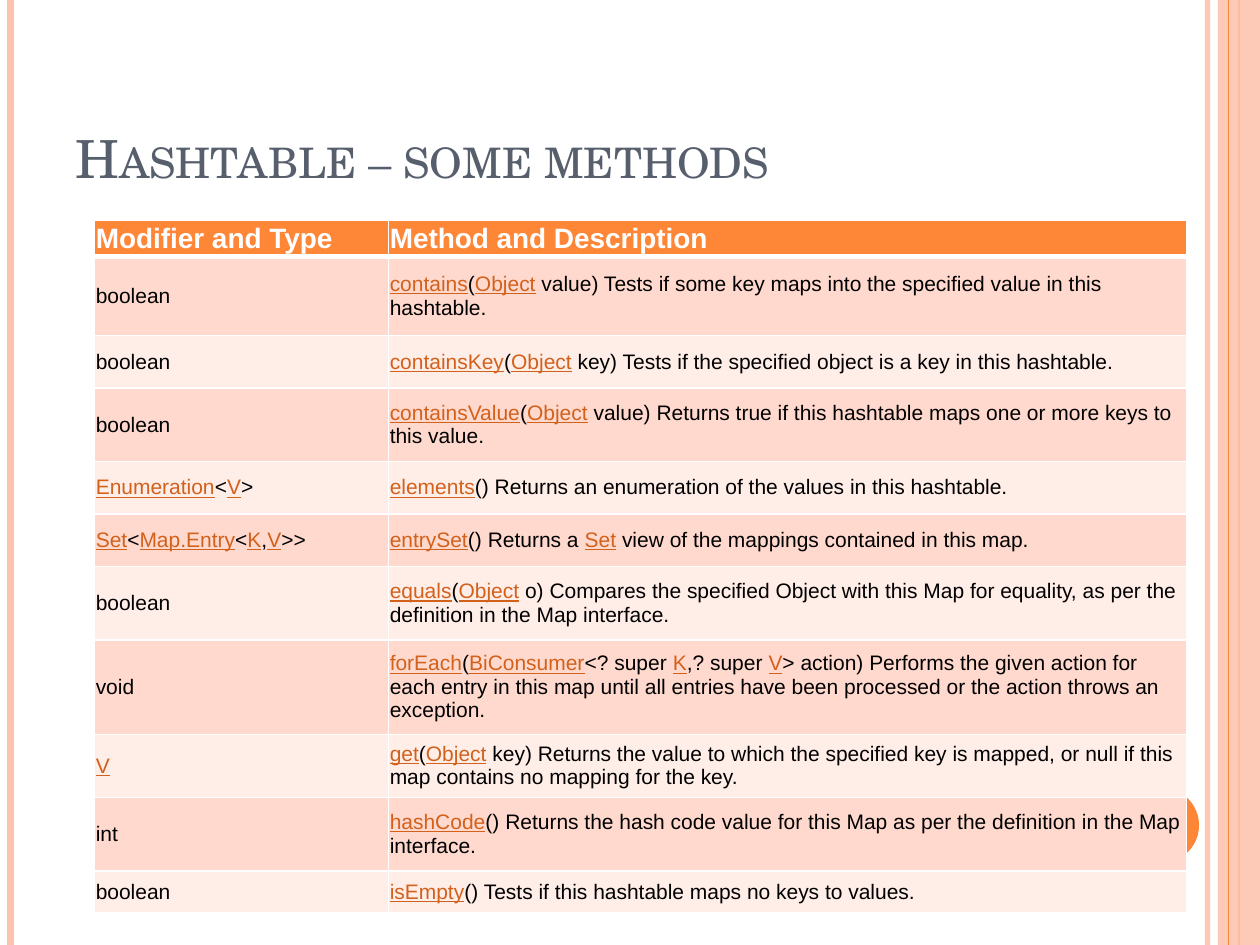
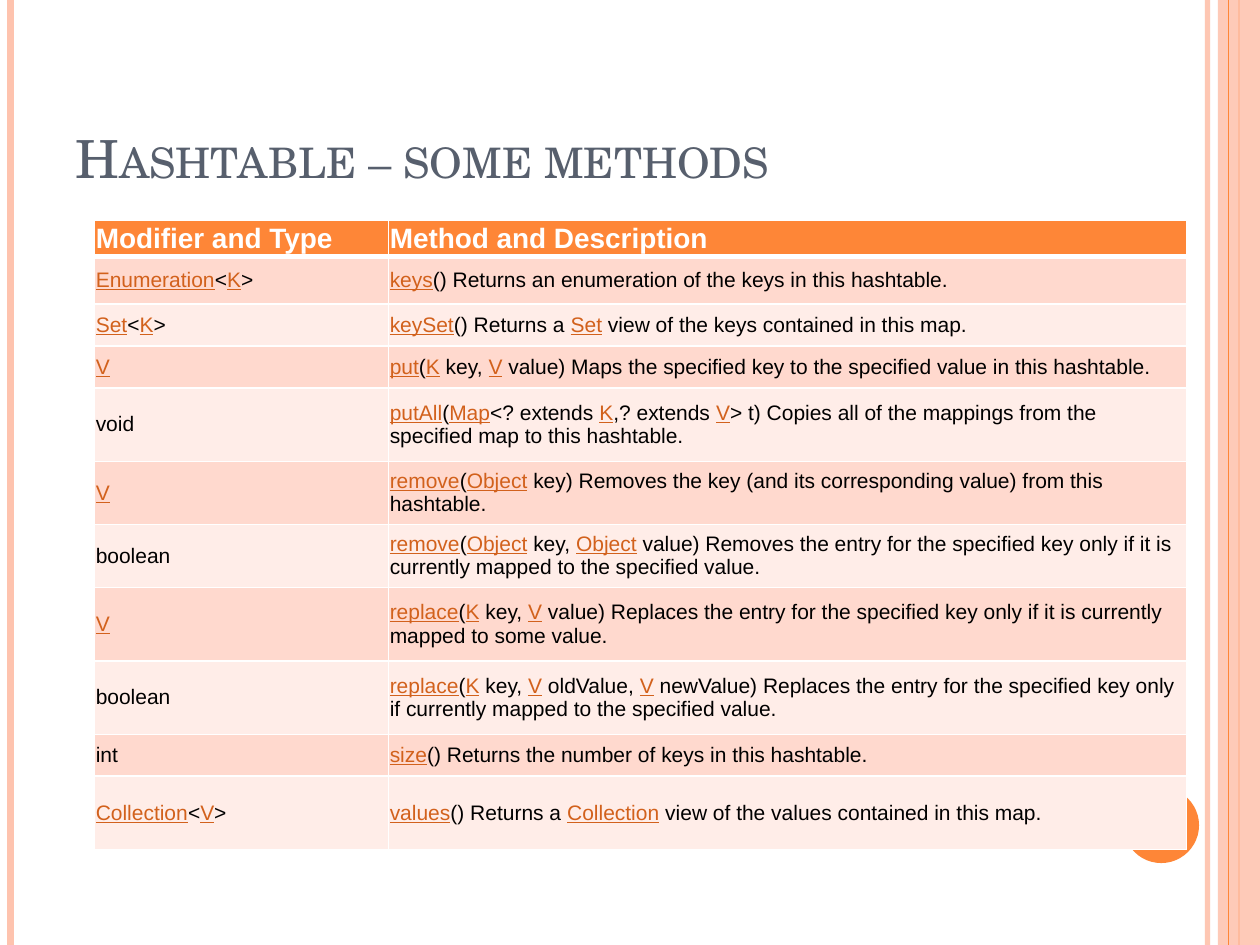
"""Build two slides that tabulate some methods of Hashtable."""
from dataclasses import dataclass
from typing import Any, NamedTuple

from lxml.etree import SubElement
from pptx import Presentation
from pptx.dml.color import RGBColor
from pptx.enum.shapes import MSO_CONNECTOR, MSO_SHAPE
from pptx.enum.text import MSO_ANCHOR
from pptx.oxml.ns import qn
from pptx.util import Pt


@dataclass(frozen=True)
class Theme:
    """Colours, fonts and type sizes of both slides."""
    orange: str = "FE8637"
    peach: str = "FEC3AE"
    heading: str = "575F6D"
    link: str = "D2611C"
    ink: str = "000000"
    white: str = "FFFFFF"
    bands: tuple[str, str] = ("FFD9CE", "FFEDE8")
    title_font: str = "TeX Gyre Schola"
    table_font: str = "Arial"
    title_size: float = 30
    header_size: float = 16
    body_size: float = 12


class Stripe(NamedTuple):
    """A vertical line over the full slide height."""
    x: float
    color: str
    width: float
    opacity: int = 100


class Panel(NamedTuple):
    """A filled shape of the slide frame."""
    preset: MSO_SHAPE
    left: float
    top: float
    width: float
    height: float
    color: str
    opacity: int = 100


class Method(NamedTuple):
    """A table row, with linked words in square brackets."""
    height: float
    returns: str
    description: str


THEME = Theme()
SLIDE_WIDTH, SLIDE_HEIGHT = 720, 540
TITLE = "Hashtable – some methods"
HEADERS = ("Modifier and Type", "Method and Description")
HEADER_HEIGHT = 20
COLUMN_WIDTHS = (168, 456)
TABLE_LEFT, TABLE_TOP = 54, 126
CELL_INSET = 0.75

FRAME = (
    Stripe(690, THEME.peach, 3, 93),
    Stripe(6, THEME.peach, 4.5),
    Stripe(708, THEME.orange, 1.5),
    Panel(MSO_SHAPE.RECTANGLE, 696, 0, 24, SLIDE_HEIGHT, THEME.peach, 87),
    Stripe(702, THEME.orange, 0.75),
    Panel(MSO_SHAPE.OVAL, 642, 450, 43.2, 43.2, THEME.orange),
)

QUERY_METHODS = (
    Method(45, "boolean", "[contains]([Object] value) Tests if some key maps into the specified value "
                          "in this hashtable."),
    Method(30, "boolean", "[containsKey]([Object] key) Tests if the specified object is a key "
                          "in this hashtable."),
    Method(42, "boolean", "[containsValue]([Object] value) Returns true if this hashtable maps "
                          "one or more keys to this value."),
    Method(30, "[Enumeration]<[V]>", "[elements]() Returns an enumeration of the values in this hashtable."),
    Method(30, "[Set]<[Map.Entry]<[K],[V]>>", "[entrySet]() Returns a [Set] view of the mappings "
                                              "contained in this map."),
    Method(42, "boolean", "[equals]([Object] o) Compares the specified Object with this Map for equality, "
                          "as per the definition in the Map interface."),
    Method(54, "void", "[forEach]([BiConsumer]<? super [K],? super [V]> action) Performs the given action "
                       "for each entry in this map until all entries have been processed "
                       "or the action throws an exception."),
    Method(36, "[V]", "[get]([Object] key) Returns the value to which the specified key is mapped, "
                      "or null if this map contains no mapping for the key."),
    Method(42, "int", "[hashCode]() Returns the hash code value for this Map as per the definition "
                      "in the Map interface."),
    Method(24, "boolean", "[isEmpty]() Tests if this hashtable maps no keys to values."),
)

UPDATE_METHODS = (
    Method(27, "[Enumeration]<[K]>", "[keys]() Returns an enumeration of the keys in this hashtable."),
    Method(24, "[Set]<[K]>", "[keySet]() Returns a [Set] view of the keys contained in this map."),
    Method(24, "[V]", "[put]([K] key, [V] value) Maps the specified key to the specified value "
                      "in this hashtable."),
    Method(42, "void", "[putAll]([Map]<? extends [K],? extends [V]> t) Copies all of the mappings "
                       "from the specified map to this hashtable."),
    Method(36, "[V]", "[remove]([Object] key) Removes the key (and its corresponding value) "
                      "from this hashtable."),
    Method(36, "boolean", "[remove]([Object] key, [Object] value) Removes the entry for the specified key "
                          "only if it is currently mapped to the specified value."),
    Method(42, "[V]", "[replace]([K] key, [V] value) Replaces the entry for the specified key "
                      "only if it is currently mapped to some value."),
    Method(42, "boolean", "[replace]([K] key, [V] oldValue, [V] newValue) Replaces the entry "
                          "for the specified key only if currently mapped to the specified value."),
    Method(24, "int", "[size]() Returns the number of keys in this hashtable."),
    Method(42, "[Collection]<[V]>", "[values]() Returns a [Collection] view of the values "
                                    "contained in this map."),
)


def apply_format(target: Any, values: dict[str, Any]) -> None:
    """Set each named attribute of the target."""
    for attribute, value in values.items():
        setattr(target, attribute, value)


def set_opacity(element: Any, percent: int) -> None:
    """Make every colour below the element partly transparent."""
    if percent < 100:
        for color in element.iter(qn("a:srgbClr")):
            SubElement(color, qn("a:alpha"), val=str(percent * 1000))


def add_run(paragraph: Any, text: str, color: str, **values: Any) -> Any:
    """Append a run with its font values and return it."""
    run = paragraph.add_run()
    run.text = text
    apply_format(run.font, values)
    run.font.color.rgb = RGBColor.from_string(color)
    return run


def add_stripe(slide: Any, stripe: Stripe) -> None:
    """Draw a vertical line of the frame."""
    line = slide.shapes.add_connector(
        MSO_CONNECTOR.STRAIGHT, Pt(stripe.x), Pt(0), Pt(stripe.x), Pt(SLIDE_HEIGHT))
    line.line.width = Pt(stripe.width)
    line.line.color.rgb = RGBColor.from_string(stripe.color)
    properties = line._element.spPr
    set_opacity(properties, stripe.opacity)
    SubElement(properties, qn("a:effectLst"))


def add_panel(slide: Any, panel: Panel) -> None:
    """Draw a filled shape of the frame."""
    shape = slide.shapes.add_shape(
        panel.preset, Pt(panel.left), Pt(panel.top), Pt(panel.width), Pt(panel.height))
    shape.shadow.inherit = False
    shape.fill.solid()
    shape.fill.fore_color.rgb = RGBColor.from_string(panel.color)
    shape.line.fill.background()
    set_opacity(shape._element.spPr, panel.opacity)


def add_title(slide: Any) -> None:
    """Write the slide title in small capitals."""
    frame = slide.shapes.add_textbox(Pt(36), Pt(21.6), Pt(588), Pt(90)).text_frame
    apply_format(frame, {"word_wrap": True, "vertical_anchor": MSO_ANCHOR.BOTTOM})
    title = add_run(frame.paragraphs[0], TITLE, THEME.heading,
                    name=THEME.title_font, size=Pt(THEME.title_size))
    title.font._element.set("cap", "small")


def format_cell(cell: Any, fill: str, top: float = 1, bottom: float = 1) -> None:
    """Set the insets, white borders and fill of a cell."""
    margins = {f"margin_{side}": Pt(CELL_INSET) for side in ("left", "right", "top", "bottom")}
    apply_format(cell, margins | {"vertical_anchor": MSO_ANCHOR.MIDDLE})
    properties = cell._tc.get_or_add_tcPr()
    for side, width in {"L": 1, "R": 1, "T": top, "B": bottom}.items():
        border = SubElement(properties, qn(f"a:ln{side}"), w=str(Pt(width)))
        SubElement(SubElement(border, qn("a:solidFill")), qn("a:srgbClr"), val=THEME.white)
    cell.fill.solid()
    cell.fill.fore_color.rgb = RGBColor.from_string(fill)


def write_linked(paragraph: Any, text: str) -> None:
    """Write text with its bracketed words underlined in the link colour."""
    for index, piece in enumerate(text.replace("]", "[").split("[")):
        if piece:
            linked = index % 2 == 1
            add_run(paragraph, piece, THEME.link if linked else THEME.ink,
                    name=THEME.table_font, size=Pt(THEME.body_size), underline=linked)


def add_method_table(slide: Any, methods: tuple[Method, ...]) -> None:
    """Draw the table with a header row and one row per method."""
    heights = [HEADER_HEIGHT, *(method.height for method in methods)]
    table = slide.shapes.add_table(
        len(heights), len(COLUMN_WIDTHS), Pt(TABLE_LEFT), Pt(TABLE_TOP),
        Pt(sum(COLUMN_WIDTHS)), Pt(sum(heights))).table
    for column, width in zip(table.columns, COLUMN_WIDTHS):
        column.width = Pt(width)
    for row, height in zip(table.rows, heights):
        row.height = Pt(height)
    for column, header in enumerate(HEADERS):
        cell = table.cell(0, column)
        format_cell(cell, THEME.orange, bottom=3)
        add_run(cell.text_frame.paragraphs[0], header, THEME.white,
                name=THEME.table_font, size=Pt(THEME.header_size), bold=True)
    for index, method in enumerate(methods):
        for column, text in enumerate((method.returns, method.description)):
            cell = table.cell(index + 1, column)
            format_cell(cell, THEME.bands[index % 2], top=1 if index else 3)
            write_linked(cell.text_frame.paragraphs[0], text)


def main() -> None:
    """Build and save the presentation."""
    deck = Presentation()
    apply_format(deck, {"slide_width": Pt(SLIDE_WIDTH), "slide_height": Pt(SLIDE_HEIGHT)})
    for methods in (QUERY_METHODS, UPDATE_METHODS):
        slide = deck.slides.add_slide(deck.slide_layouts[6])
        for part in FRAME:
            if isinstance(part, Stripe):
                add_stripe(slide, part)
            else:
                add_panel(slide, part)
        add_title(slide)
        add_method_table(slide, methods)
    deck.save("out.pptx")


if __name__ == "__main__":
    main()
